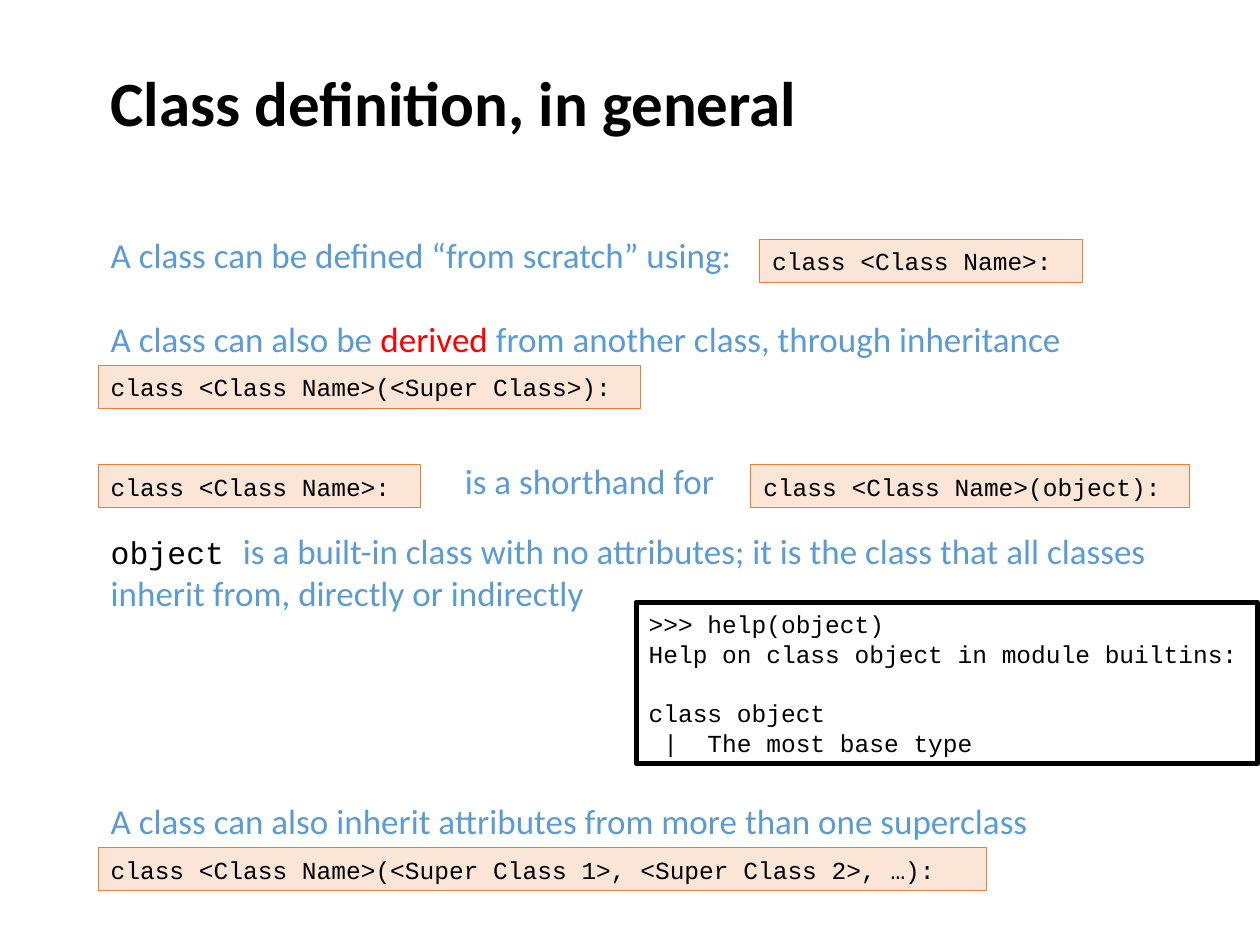
from dataclasses import dataclass

from pptx import Presentation
from pptx.dml.color import RGBColor
from pptx.enum import shapes, text
from pptx.util import Inches, Pt

BLACK = RGBColor(0x00, 0x00, 0x00)
WHITE = RGBColor(0xFF, 0xFF, 0xFF)
BLUE = RGBColor(0x5B, 0x9B, 0xD5)
RED = RGBColor(0xFF, 0x00, 0x00)
PEACH = RGBColor(0xFB, 0xE5, 0xD6)
ORANGE = RGBColor(0xED, 0x7D, 0x31)

LEFT = 0.78
PITCH = Pt(17)


@dataclass
class Span:
    text: str
    color: RGBColor = BLUE
    size: int = 20
    font: str = "Calibri"
    bold: bool = False


@dataclass
class Note:
    left: float
    top: float
    width: float
    height: float
    spans: list[Span]
    wrap: bool = False


@dataclass
class Code:
    left: float
    top: float
    width: float
    lines: list[str]
    height: float = 0.34
    fill: RGBColor = PEACH
    edge: RGBColor = ORANGE
    weight: float = 0.5


def style(run, span: Span) -> None:
    font = run.font
    font.name, font.size, font.bold = span.font, Pt(span.size), span.bold
    font.color.rgb = span.color


def add_note(slide, note: Note) -> None:
    box = slide.shapes.add_textbox(Inches(note.left), Inches(note.top),
                                   Inches(note.width), Inches(note.height))
    frame = box.text_frame
    frame.word_wrap = note.wrap
    frame.vertical_anchor = text.MSO_ANCHOR.MIDDLE
    for span in note.spans:
        run = frame.paragraphs[0].add_run()
        run.text = span.text
        style(run, span)


def add_code(slide, code: Code) -> None:
    box = slide.shapes.add_shape(shapes.MSO_SHAPE.RECTANGLE,
                                 Inches(code.left), Inches(code.top),
                                 Inches(code.width), Inches(code.height))
    box.shadow.inherit = False
    box.fill.solid()
    box.fill.fore_color.rgb = code.fill
    box.line.color.rgb = code.edge
    box.line.width = Pt(code.weight)
    frame = box.text_frame
    frame.word_wrap = True
    frame.vertical_anchor = text.MSO_ANCHOR.MIDDLE
    frame.text = "\n".join(code.lines)
    for para in frame.paragraphs:
        para.alignment = text.PP_ALIGN.LEFT
        para.line_spacing = PITCH
        # The class header stands one line below the help heading
        if para.text == "class object":
            para.space_before = PITCH
        for run in para.runs:
            style(run, Span(run.text, BLACK, 14, "Courier New"))


NOTES = [
    Note(LEFT, 0, 8.72, 1.61,
         [Span("Class definition, in general", BLACK, 36, bold=True)], True),
    Note(LEFT, 1.8, 5.19, 0.44,
         [Span("A class can be defined “from scratch” using:")]),
    Note(LEFT, 2.47, 7.82, 0.44,
         [Span("A class can also be "), Span("derived ", RED),
          Span("from another class, through inheritance")]),
    Note(3.59, 3.59, 2.21, 0.44, [Span("is a shorthand for")]),
    Note(LEFT, 4.15, 8.98, 0.77,
         [Span("object ", BLACK, 18, "Courier New"),
          Span("is a built-in class with no attributes; it is the class "
               "that all classes inherit from, directly or indirectly")], True),
    Note(LEFT, 6.29, 7.62, 0.44,
         [Span("A class can also inherit attributes from more than one "
               "superclass")]),
]

CODES = [
    Code(6.03, 1.9, 2.56, ["class <Class Name>:"]),
    Code(LEFT, 2.9, 4.3, ["class <Class Name>(<Super Class>):"]),
    Code(LEFT, 3.69, 2.56, ["class <Class Name>:"]),
    Code(5.96, 3.69, 3.48, ["class <Class Name>(object):"]),
    Code(LEFT, 6.73, 7.05,
         ["class <Class Name>(<Super Class 1>, <Super Class 2>, …):"]),
    Code(5.05, 4.78, 4.93,
         [">>> help(object)", "Help on class object in module builtins:",
          "class object", " |  The most base type"],
         1.28, WHITE, BLACK, 3),
]

deck = Presentation()
deck.slide_width, deck.slide_height = Inches(10), Inches(7.5)
slide = deck.slides.add_slide(deck.slide_layouts[6])

# Title and explanations
for note in NOTES:
    add_note(slide, note)

# Code boxes, with the help output on top
for code in CODES:
    add_code(slide, code)

deck.save("out.pptx")
